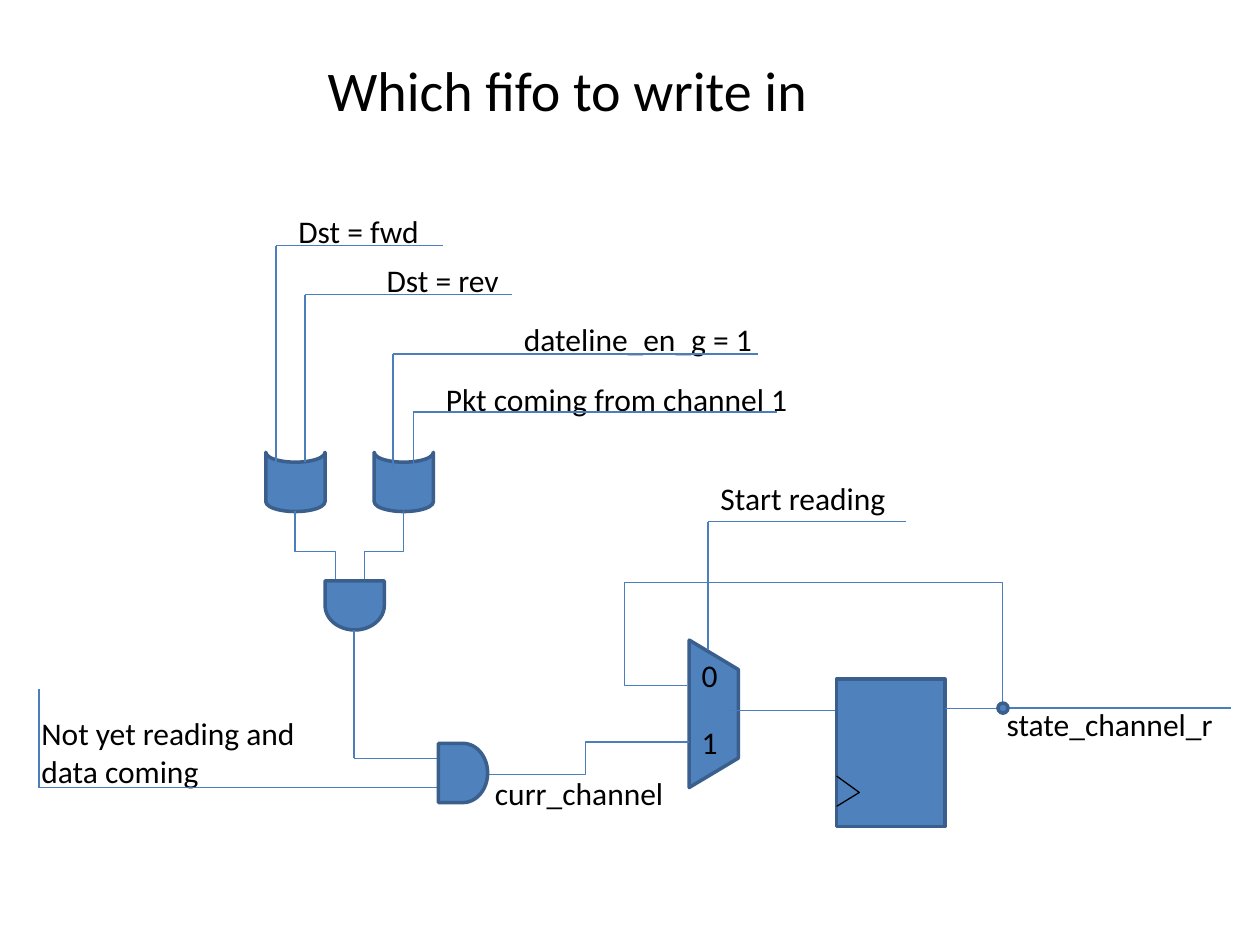
from lxml import etree
from pptx import Presentation
from pptx.dml.color import RGBColor
from pptx.enum.shapes import MSO_CONNECTOR, MSO_SHAPE
from pptx.enum.text import MSO_ANCHOR, PP_ALIGN
from pptx.oxml.ns import qn
from pptx.util import Inches, Pt

COLORS = {"fill": "4F81BD", "edge": "3A5F8C", "wire": "4B7EBC", "text": "000000"}
FONT = "Calibri"
GATE = 0.47  # side of a logic gate
DEPTH = 0.39  # depth of a delay gate and of the multiplexer


def rgb(name):
    """Look up a palette colour."""
    return RGBColor.from_string(COLORS[name])


def write(sp, text, size=18, color="text", align=PP_ALIGN.LEFT):
    """Put formatted text in a shape."""
    tf = sp.text_frame
    tf.word_wrap = True
    tf.vertical_anchor = MSO_ANCHOR.TOP
    p = tf.paragraphs[0]
    p.alignment = align
    r = p.add_run()
    r.text = text
    r.font.name, r.font.size = FONT, Pt(size)
    r.font.bold = False
    r.font.color.rgb = rgb(color)


def label(s, text, x, y, w, h=0.4, **fmt):
    """Add a text box."""
    write(s.shapes.add_textbox(*map(Inches, (x, y, w, h))), text, **fmt)


def block(s, kind, x, y, w, h, rot=0):
    """Add a filled component; the box is the one before rotation."""
    sp = s.shapes.add_shape(kind, *map(Inches, (x, y, w, h)))
    sp.rotation = rot
    sp.shadow.inherit = False
    sp.fill.solid()
    sp.fill.fore_color.rgb = rgb("fill")
    sp.line.color.rgb = rgb("edge")
    sp.line.width = Pt(2)


def wire(s, x1, y1, x2, y2, kind=MSO_CONNECTOR.STRAIGHT):
    """Add a connector between two points."""
    c = s.shapes.add_connector(kind, *map(Inches, (x1, y1, x2, y2)))
    c.line.color.rgb = rgb("wire")
    c.line.width = Pt(0.75)
    etree.SubElement(c._element.spPr, qn("a:effectLst"))
    return c


def drop(s, x1, y1, x2, y2):
    """Add an elbow that leaves and arrives vertically."""
    cx, cy = (x1 + x2) / 2, (y1 + y2) / 2
    half_w, half_h = (y2 - y1) / 2, abs(x2 - x1) / 2
    turn, side = (270, -1) if x2 > x1 else (90, 1)
    c = wire(s, cx - side * half_w, cy - half_h, cx + side * half_w, cy + half_h,
             MSO_CONNECTOR.ELBOW)
    c._element.spPr.find(qn("a:xfrm")).set("rot", str(turn * 60000))


def outline(s, points, color, width):
    """Add an open, unfilled polyline."""
    pts = [(Inches(x), Inches(y)) for x, y in points]
    fb = s.shapes.build_freeform(*pts[0])
    fb.add_line_segments(pts[1:], close=False)
    sp = fb.convert_to_shape()
    sp.shadow.inherit = False
    sp.fill.background()
    sp.line.color.rgb = rgb(color)
    sp.line.width = Pt(width)


def title(s, text, x, y, w, h):
    """Fill and place the title placeholder."""
    sp = s.shapes.title
    sp.left, sp.top, sp.width, sp.height = map(Inches, (x, y, w, h))
    write(sp, text, size=32)


def decode(s, x, y):
    """Two OR gates with their labelled inputs, joined by an AND gate."""
    gate_y = y + 1.96
    for dx in (0, 0.86):
        block(s, MSO_SHAPE.FLOWCHART_STORED_DATA, x + dx, gate_y, GATE, GATE, 270)
    inputs = [  # text, text left, text top, text width, wire left, wire right, wire top, end
        ("Dst = fwd", 0.16, 0, 1.17, 0.08, 1.41, 0.32, 2.05),
        ("Dst = rev", 0.86, 0.39, 1.17, 0.31, 1.95, 0.71, 2.04),
        ("dateline_en_g = 1", 1.95, 0.86, 2.19, 1.01, 3.91, 1.18, 2.1),
        ("Pkt coming from channel 1", 1.33, 1.34, 3.2, 1.17, 4.06, 1.64, 2.05),
    ]
    for text, tx, ty, tw, left, right, top, end in inputs:
        label(s, text, x + tx, y + ty, tw)
        wire(s, x + left, y + top, x + right, y + top)
        wire(s, x + left, y + top, x + left, y + end)
    for start, end in ((0.23, 0.55), (1.09, 0.78)):
        drop(s, x + start, gate_y + GATE, x + end, y + 3.06)
    block(s, MSO_SHAPE.FLOWCHART_DELAY, x + 0.51, y + 2.94, DEPTH, GATE, 90)


def gating(s, x, y):
    """AND gate fed by the decoder and by the idle condition."""
    label(s, "Not yet reading and data coming", x - 0.08, y + 0.15, 2.58, 0.71)
    wire(s, x, y, x, y + 0.78)
    wire(s, x, y + 0.78, x + 3.21, y + 0.78)
    wire(s, x + 2.5, y - 0.47, x + 2.5, y + 0.55)
    wire(s, x + 2.5, y + 0.55, x + 3.21, y + 0.55)
    wire(s, x + 3.52, y + 0.68, x + 5.16, y + 0.42, MSO_CONNECTOR.ELBOW)
    label(s, "curr_channel", x + 3.52, y + 0.62, 1.8)
    block(s, MSO_SHAPE.FLOWCHART_DELAY, x + 3.17, y + 0.43, DEPTH, GATE)


def mux(s, x, y, h=1.17):
    """Two-way multiplexer with its select wire."""
    block(s, MSO_SHAPE.FLOWCHART_MANUAL_OPERATION,
          x + (DEPTH - h) / 2, y + (h - DEPTH) / 2, h, DEPTH, 270)
    for text, dy in (("0", 0.08), ("1", 0.61)):
        label(s, text, x, y + dy, 0.23)
    label(s, "Start reading", x + 0.15, y - 1.33, 1.8)
    wire(s, x + 0.15, y - 0.94, x + 1.72, y - 0.94)
    wire(s, x + 0.15, y - 0.94, x + 0.15, y + 0.08)
    wire(s, x + 0.31, y + 0.56, x + 1.17, y + 0.56)


def register(s, x, y, w, h):
    """Clocked register with its output and feedback loop."""
    block(s, MSO_SHAPE.FLOWCHART_PROCESS, x, y, w, h)
    outline(s, [(x, y + 0.77), (x + 0.18, y + 0.9), (x, y + 1.01)], "text", 0.75)
    node_x, node_y, dot = x + 1.32, y + 0.23, 0.08
    loop_x, loop_y = x - 1.68, y - 0.77
    outline(s, [(x - 1.19, y + 0.05), (loop_x, y + 0.05), (loop_x, loop_y),
                (node_x, loop_y), (node_x, node_y), (x + w, node_y)], "wire", 0.5)
    wire(s, node_x, node_y, node_x + 1.81, node_y)
    label(s, "state_channel_r", node_x - 0.07, node_y - 0.07, 1.88)
    block(s, MSO_SHAPE.OVAL, node_x - dot / 2, node_y - dot / 2, dot, dot)


prs = Presentation()
prs.slide_width, prs.slide_height = Inches(10), Inches(7.5)
s = prs.slides.add_slide(prs.slide_layouts[5])
title(s, "Which fifo to write in", 2.5, 0.39, 5.86, 0.64)
decode(s, 2.11, 1.63)
mux(s, 5.47, 5.08)
register(s, 6.64, 5.39, 0.86, 1.17)
gating(s, 0.31, 5.47)
prs.save("out.pptx")
